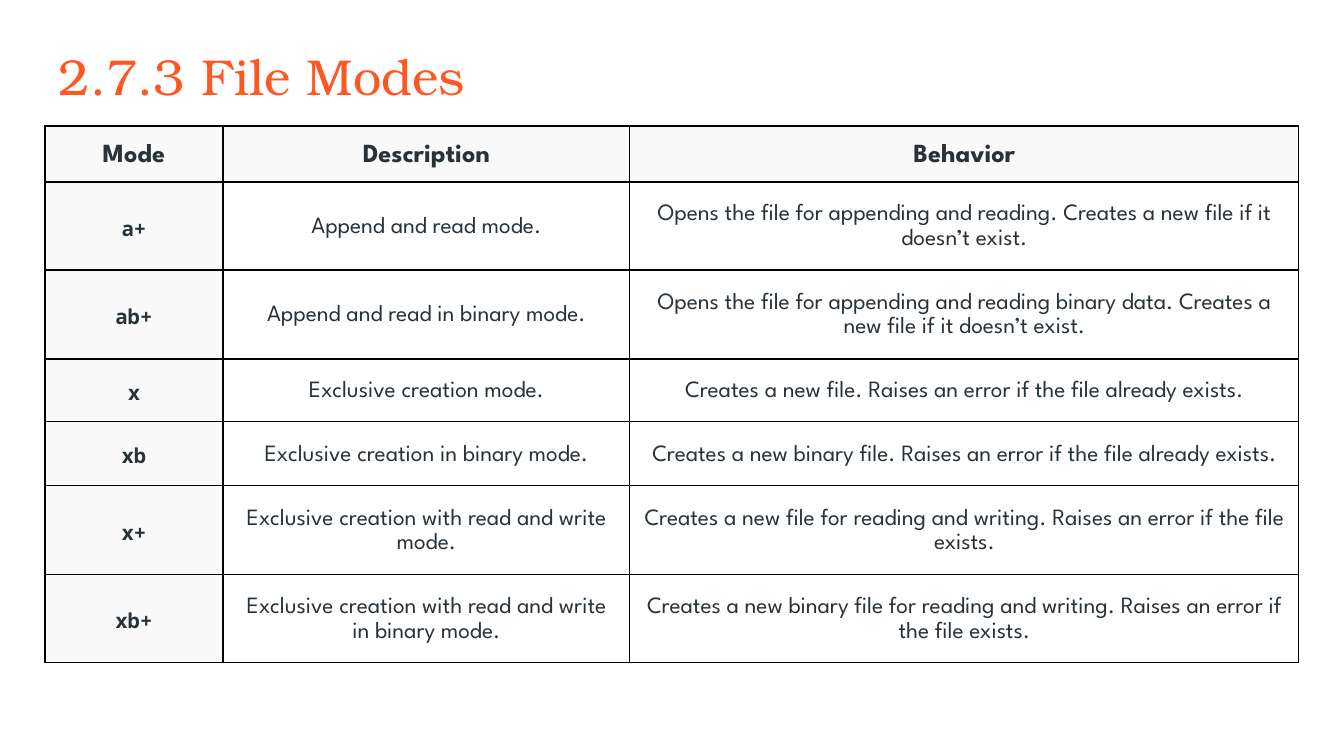
from lxml.etree import SubElement
from pptx import Presentation
from pptx.dml.color import RGBColor
from pptx.enum.text import MSO_ANCHOR, PP_ALIGN
from pptx.oxml.ns import qn
from pptx.util import Pt

TITLE = "2.7.3 File Modes"
HEADER = ("Mode", "Description", "Behavior")
MODES = [
    ("a+", "Append and read mode.",
     "Opens the file for appending and reading. Creates a new file if it doesn’t exist."),
    ("ab+", "Append and read in binary mode.",
     "Opens the file for appending and reading binary data. Creates a new file if it doesn’t exist."),
    ("x", "Exclusive creation mode.",
     "Creates a new file. Raises an error if the file already exists."),
    ("xb", "Exclusive creation in binary mode.",
     "Creates a new binary file. Raises an error if the file already exists."),
    ("x+", "Exclusive creation with read and write mode.",
     "Creates a new file for reading and writing. Raises an error if the file exists."),
    ("xb+", "Exclusive creation with read and write in binary mode.",
     "Creates a new binary file for reading and writing. Raises an error if the file exists."),
]

SLIDE_SIZE = (1344, 756)
TITLE_BOX = (46, 32, 1252, 85)
TABLE_LEFT, TABLE_TOP = 45, 126
COLUMN_WIDTHS = (178, 407, 669)
ROW_HEIGHTS = (56, 88, 89, 63, 64, 89, 88)
TITLE_INSET = 13

ORANGE, INK, SHADE, WHITE, BLACK = "FF5722", "273239", "F9F9F9", "FFFFFF", "000000"
TITLE_FONT, BODY_FONT, CODE_FONT = "TeX Gyre Bonum", "League Spartan", "Noto Sans Mono"


def px(length):
    return round(length * 914400 / 134.4)


def color(value):
    return RGBColor.from_string(value)


def set_insets(target, horizontal, vertical):
    target.margin_left = target.margin_right = px(horizontal)
    target.margin_top = target.margin_bottom = px(vertical)


def format_runs(paragraph, font_name, size, ink, bold=False):
    for run in paragraph.runs:
        font = run.font
        font.name, font.size, font.bold = font_name, Pt(size), bold
        font.color.rgb = color(ink)


def add_borders(cell):
    """Draw all four edges; call before filling, as the schema puts lines first."""
    properties = cell._tc.get_or_add_tcPr()
    for side in ("a:lnL", "a:lnR", "a:lnT", "a:lnB"):
        line = SubElement(properties, qn(side), w=str(Pt(0.75)))
        fill = SubElement(line, qn("a:solidFill"))
        SubElement(fill, qn("a:srgbClr"), val=BLACK)


def cell_style(row, column):
    """Return font, size, bold, fill, horizontal inset and vertical inset."""
    if row == 0:
        return BODY_FONT, 14, True, SHADE, 5 if column == 0 else 13, 8
    if column == 0:
        return CODE_FONT, 11, True, SHADE, 5, 9
    return BODY_FONT, 12.5, False, WHITE, 13, 10


def add_title(slide):
    title = slide.shapes.add_textbox(*map(px, TITLE_BOX))
    frame = title.text_frame
    frame.word_wrap = True
    set_insets(frame, TITLE_INSET, TITLE_INSET)
    frame.text = TITLE
    format_runs(frame.paragraphs[0], TITLE_FONT, 27, ORANGE)


def add_mode_table(slide):
    rows = [HEADER, *MODES]
    table = slide.shapes.add_table(
        len(rows), len(HEADER), px(TABLE_LEFT), px(TABLE_TOP),
        px(sum(COLUMN_WIDTHS)), px(sum(ROW_HEIGHTS))).table
    table.horz_banding = False
    for column, width in zip(table.columns, COLUMN_WIDTHS):
        column.width = px(width)
    for row, height in zip(table.rows, ROW_HEIGHTS):
        row.height = px(height)
    for row_index, texts in enumerate(rows):
        for column_index, text in enumerate(texts):
            font_name, size, bold, fill, horizontal, vertical = cell_style(row_index, column_index)
            cell = table.cell(row_index, column_index)
            add_borders(cell)
            cell.fill.solid()
            cell.fill.fore_color.rgb = color(fill)
            cell.vertical_anchor = MSO_ANCHOR.MIDDLE
            set_insets(cell, horizontal, vertical)
            cell.text_frame.text = text
            paragraph = cell.text_frame.paragraphs[0]
            paragraph.alignment = PP_ALIGN.CENTER
            paragraph.line_spacing = 1.15
            format_runs(paragraph, font_name, size, INK, bold)


def main():
    presentation = Presentation()
    presentation.slide_width, presentation.slide_height = map(px, SLIDE_SIZE)
    slide = presentation.slides.add_slide(presentation.slide_layouts[6])
    add_title(slide)
    add_mode_table(slide)
    presentation.save("out.pptx")


if __name__ == "__main__":
    main()
